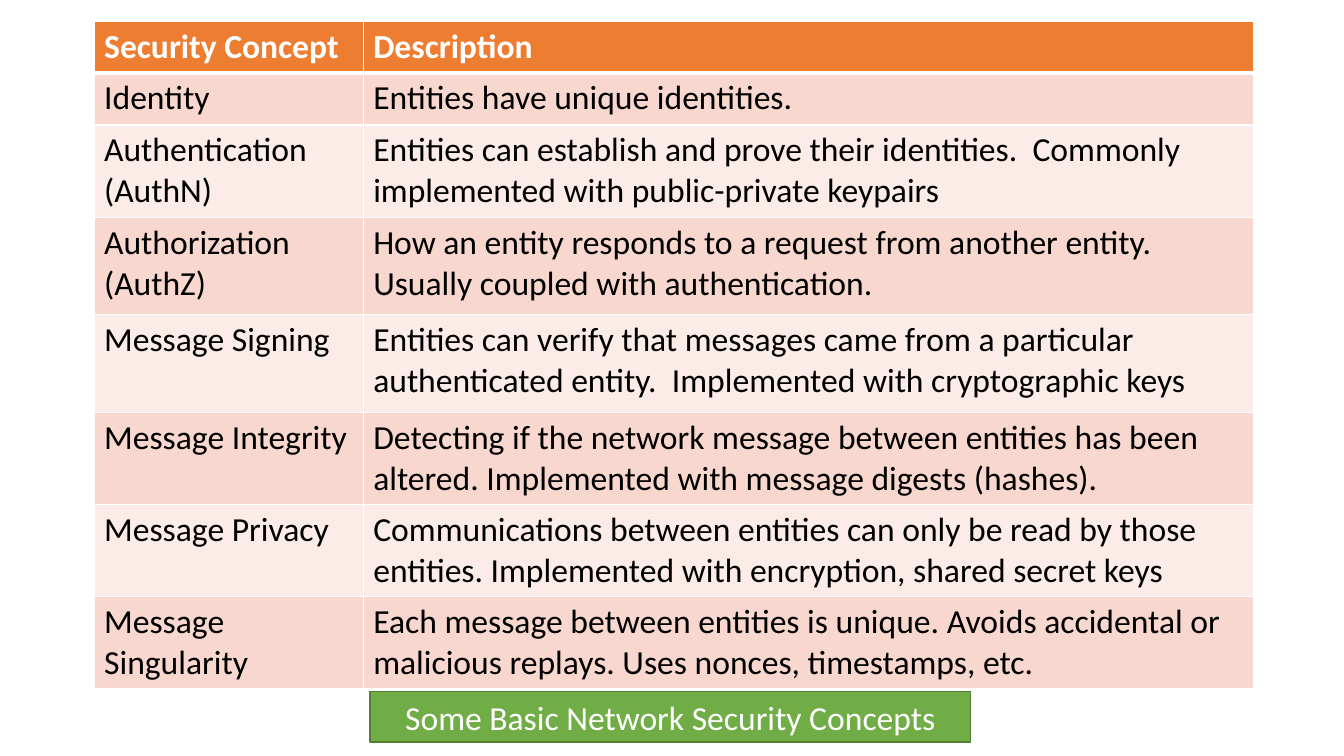
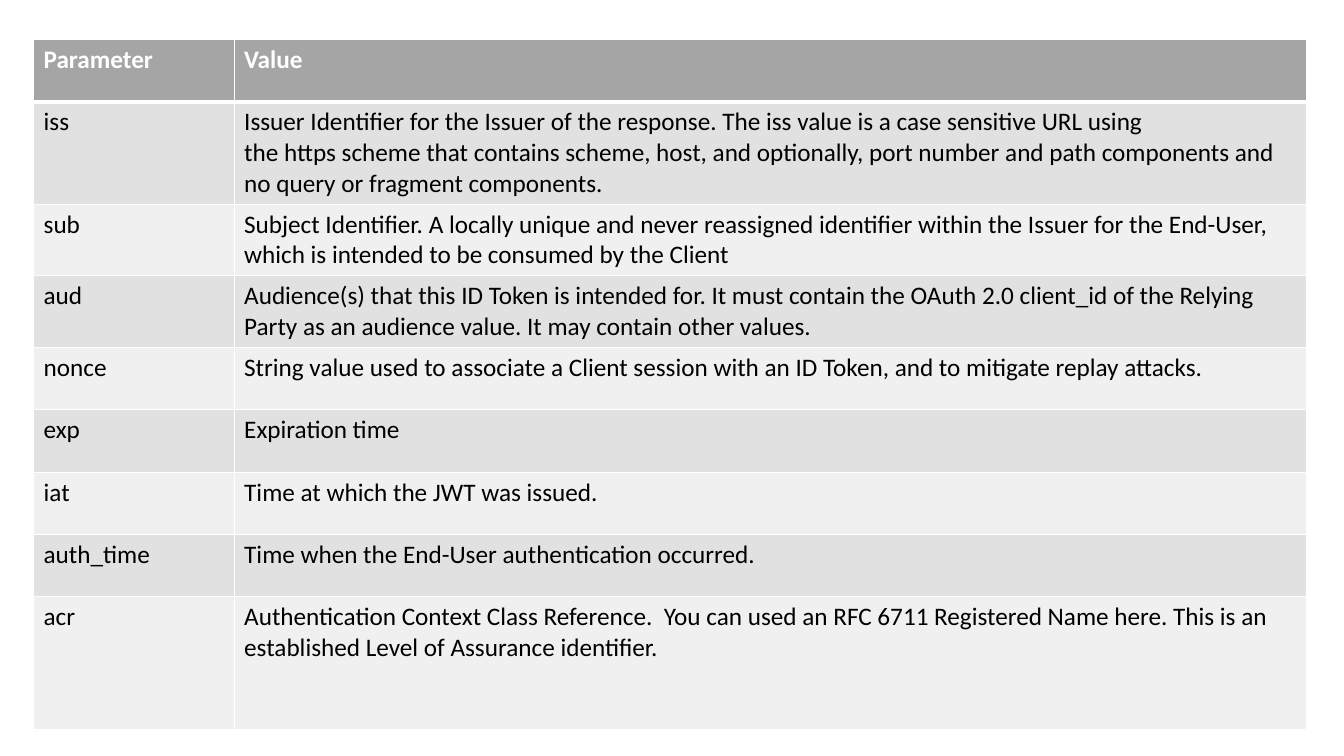
from lxml import etree
from pptx import Presentation
from pptx.dml.color import RGBColor
from pptx.enum.shapes import MSO_SHAPE
from pptx.enum.text import MSO_ANCHOR, PP_ALIGN
from pptx.oxml.ns import qn
from pptx.util import Inches, Pt

RECTANGLE = MSO_SHAPE.RECTANGLE
LEFT, CENTER = PP_ALIGN.LEFT, PP_ALIGN.CENTER
TOP, MIDDLE = MSO_ANCHOR.TOP, MSO_ANCHOR.MIDDLE

FONT = "Calibri"
WHITE, BLACK = "FFFFFF", "000000"
GREEN, DARK_GREEN = "70AD47", "538035"
# Header, odd row and even row fills
ORANGE_BANDS = ("ED7D31", "F8D7CE", "FCECE8")
GRAY_BANDS = ("A5A5A5", "E1E1E1", "F0F0F0")
BLANK_LAYOUT = 6

SECURITY_CONCEPTS = [
    ("Security Concept", "Description"),
    ("Identity", "Entities have unique identities."),
    ("Authentication (AuthN)",
     "Entities can establish and prove their identities.  Commonly "
     "implemented with public-private keypairs"),
    ("Authorization (AuthZ)",
     "How an entity responds to a request from another entity. "
     "Usually coupled with authentication."),
    ("Message Signing",
     "Entities can verify that messages came from a particular "
     "authenticated entity.  Implemented with cryptographic keys"),
    ("Message Integrity",
     "Detecting if the network message between entities has been "
     "altered. Implemented with message digests (hashes)."),
    ("Message Privacy",
     "Communications between entities can only be read by those "
     "entities. Implemented with encryption, shared secret keys"),
    ("Message Singularity",
     "Each message between entities is unique. Avoids accidental or "
     "malicious replays. Uses nonces, timestamps, etc."),
]

TOKEN_PARAMETERS = [
    ("Parameter", "Value"),
    ("iss",
     "Issuer Identifier for the Issuer of the response. The\u00a0iss\u00a0value "
     "is a case sensitive URL using the\u00a0https\u00a0scheme that contains "
     "scheme, host, and optionally, port number and path components and "
     "no query or fragment components."),
    ("sub",
     "Subject Identifier. A locally unique and never reassigned identifier "
     "within the Issuer for the End-User, which is intended to be consumed "
     "by the Client"),
    ("aud",
     "Audience(s) that this ID Token is intended for. It must contain the "
     "OAuth 2.0\u00a0client_id\u00a0of the Relying Party as an audience value. "
     "It may contain other values."),
    ("nonce",
     "String value used to associate a Client session with an ID Token, "
     "and to mitigate replay attacks."),
    ("exp", "Expiration time"),
    ("iat", "Time at which the JWT was issued."),
    ("auth_time", "Time when the End-User authentication occurred."),
    ("acr",
     "Authentication Context Class Reference.  You can used an RFC 6711 "
     "Registered Name here. This is an established Level of Assurance "
     "identifier."),
]


def color(hex_code):
    """Turn a hex string into a colour."""
    return RGBColor.from_string(hex_code)


def paint(target, hex_code):
    """Give a shape or cell a solid fill."""
    target.fill.solid()
    target.fill.fore_color.rgb = color(hex_code)


def write(frame, text, size=18, ink=BLACK, bold=False, align=LEFT):
    """Put one formatted paragraph into a text frame."""
    frame.word_wrap = True
    paragraph = frame.paragraphs[0]
    paragraph.alignment = align
    run = paragraph.add_run()
    run.text = text
    run.font.name = FONT
    run.font.size = Pt(size)
    run.font.bold = bold
    run.font.color.rgb = color(ink)


def split(total, weights):
    """Divide a length in proportion to the weights."""
    return [int(total * weight / sum(weights)) for weight in weights]


def rule_cell(cell, ink, **widths):
    """Draw the cell's borders; widths in points by side L, R, T, B."""
    properties = cell._tc.get_or_add_tcPr()
    for position, side in enumerate("LRTB"):
        border = etree.Element(qn(f"a:ln{side}"), w=str(Pt(widths.get(side, 1))))
        fill = etree.SubElement(border, qn("a:solidFill"))
        etree.SubElement(fill, qn("a:srgbClr"), val=ink)
        properties.insert(position, border)


class Deck:
    """Holds the presentation, its style and the current slide."""

    def __init__(self, width, height):
        """Start an empty deck with the given size in inches."""
        self.show = Presentation()
        self.show.slide_width = Inches(width)
        self.show.slide_height = Inches(height)
        self.slide = None

    def new_slide(self):
        """Add a blank slide and make it current."""
        layout = self.show.slide_layouts[BLANK_LAYOUT]
        self.slide = self.show.slides.add_slide(layout)

    def place(self, left, top, width, height):
        """Turn percentages of the slide's size into lengths."""
        across, down = self.show.slide_width, self.show.slide_height
        return [int(share * side / 100) for share, side in
                zip((left, top, width, height), (across, down, across, down))]

    def table(self, entries, box, columns, rows, bands, size):
        """Add a banded table; columns and rows are relative sizes."""
        area = self.place(*box)
        grid = self.slide.shapes.add_table(len(rows), len(columns), *area).table
        for column, width in zip(grid.columns, split(area[2], columns)):
            column.width = width
        for row, height in zip(grid.rows, split(area[3], rows)):
            row.height = height
        header, odd, even = bands
        for r, entry in enumerate(entries):
            is_header = r == 0
            band = header if is_header else (even, odd)[r % 2]
            for c, text in enumerate(entry):
                cell = grid.cell(r, c)
                cell.vertical_anchor = TOP
                paint(cell, band)
                rule_cell(cell, WHITE, T=3 if r == 1 else 1,
                          B=3 if is_header else 1)
                write(cell.text_frame, text, size=size, bold=is_header,
                      ink=WHITE if is_header else BLACK)

    def caption(self, text, box):
        """Add a green caption bar with centred white text."""
        bar = self.slide.shapes.add_shape(RECTANGLE, *self.place(*box))
        bar.shadow.inherit = False
        paint(bar, GREEN)
        bar.line.color.rgb = color(DARK_GREEN)
        bar.line.width = Pt(1)
        bar.text_frame.vertical_anchor = MIDDLE
        write(bar.text_frame, text, size=24, ink=WHITE, align=CENTER)


deck = Deck(13.33, 7.5)

deck.new_slide()
deck.table(SECURITY_CONCEPTS, box=(7, 2.85, 86.25, 88), columns=(2.67, 8.83),
           rows=(0.5, 0.52, 0.91, 0.97, 0.97, 0.91, 0.91, 0.91),
           bands=ORANGE_BANDS, size=24)
deck.caption("Some Basic Network Security Concepts",
             box=(27.53, 91.47, 44.7, 6.67))

deck.new_slide()
deck.table(TOKEN_PARAMETERS, box=(2.5, 5.2, 94.7, 91.2), columns=(1.99, 10.64),
           rows=(0.62, 1.01, 0.71, 0.71, 0.62, 0.62, 0.62, 0.62, 1.32),
           bands=GRAY_BANDS, size=18)

deck.show.save("out.pptx")
